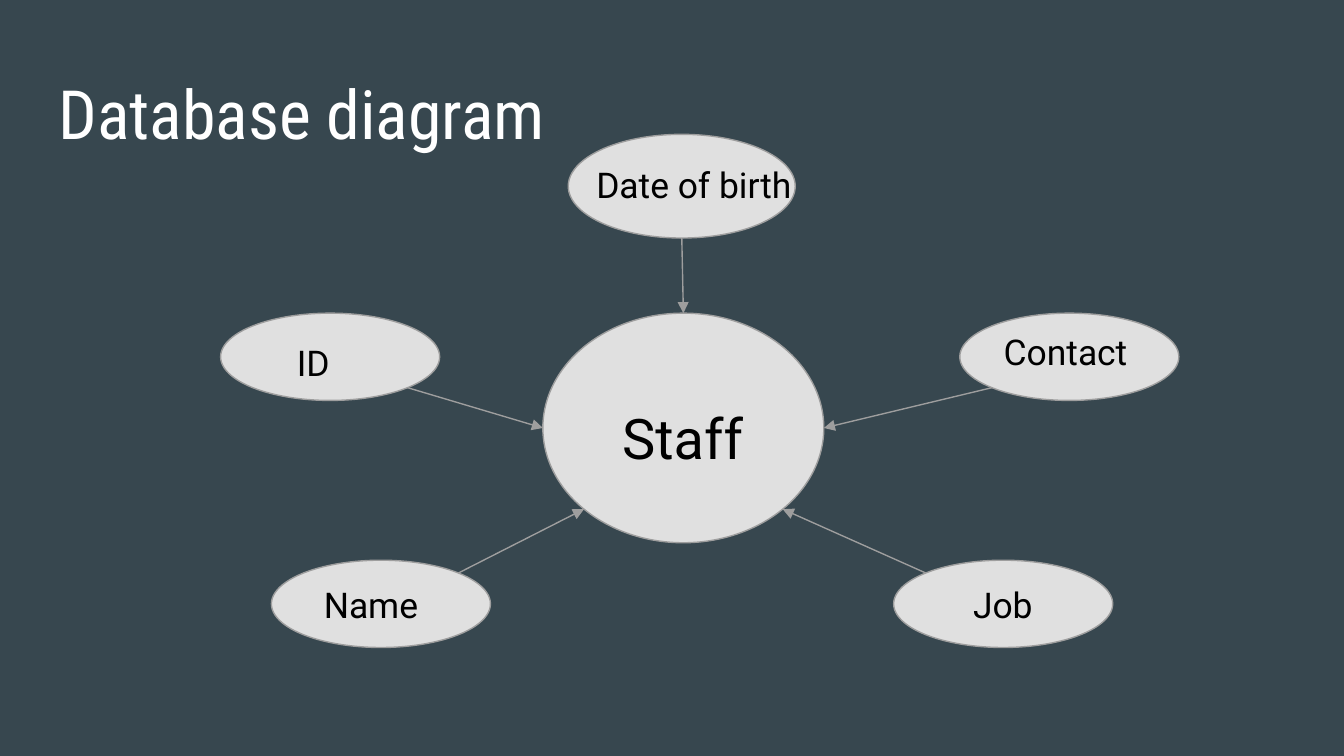
from dataclasses import dataclass
from math import hypot

from lxml import etree
from pptx import Presentation
from pptx.dml.color import RGBColor
from pptx.enum.shapes import MSO_CONNECTOR, MSO_SHAPE
from pptx.enum.text import MSO_ANCHOR, MSO_AUTO_SIZE, PP_ALIGN
from pptx.oxml.ns import qn
from pptx.util import Cm, Pt

LINE = MSO_CONNECTOR.STRAIGHT
OVAL = MSO_SHAPE.OVAL
NODE = MSO_SHAPE.FLOWCHART_CONNECTOR
LEFT = PP_ALIGN.LEFT
TOP, BOTTOM = MSO_ANCHOR.TOP, MSO_ANCHOR.BOTTOM
FIXED = MSO_AUTO_SIZE.NONE
BACK, PALE, GREY, BLACK, WHITE = "37474F", "E0E0E0", "9E9E9E", "000000", "FFFFFF"
INSET = 0.25


@dataclass
class Box:
    left: float
    top: float
    width: float
    height: float

    def site(self, side: tuple[int, int]) -> tuple[float, float]:
        """Point on the ellipse in the direction of side, in cm."""
        x, y = side
        size = hypot(x, y)
        return (self.left + self.width / 2 * (1 + x / size),
                self.top + self.height / 2 * (1 + y / size))

    def lengths(self) -> list[int]:
        return [Cm(v) for v in (self.left, self.top, self.width, self.height)]


@dataclass
class Field:
    text: str
    oval: Box
    label: Box
    start: tuple[int, int]  # side of the field's oval
    end: tuple[int, int]    # side of the centre oval


def small(left: float, top: float) -> Box:
    return Box(left, top, 4.14, 1.65)


def label(left: float, top: float, width: float) -> Box:
    return Box(left, top, width, 1.32)


HUB = Box(10.26, 5.92, 5.31, 4.34)
HUB_LABEL = Box(11.51, 7.19, 3.48, 1.8)
FIELDS = [
    Field("Date of birth", Box(10.74, 2.54, 4.29, 1.96),
          label(11.02, 2.84, 4.29), (0, 1), (0, -1)),
    Field("Contact", small(18.14, 5.92), label(18.72, 5.99, 3.28), (-1, 1), (1, 0)),
    Field("Job", small(16.89, 10.59), label(18.14, 10.77, 2.08), (-1, -1), (1, 1)),
    Field("ID", small(4.17, 5.92), label(5.36, 6.2, 1.73), (1, 1), (-1, 0)),
    Field("Name", small(5.13, 10.59), label(5.87, 10.77, 2.64), (1, -1), (-1, 1)),
]


def hue(code: str) -> RGBColor:
    return RGBColor.from_string(code)


def write(shape, text: str, font: str, size: float, code: str, anchor=TOP) -> None:
    frame = shape.text_frame
    form = {"word_wrap": True, "auto_size": FIXED, "vertical_anchor": anchor}
    form |= {f"margin_{side}": Cm(INSET) for side in ("left", "top", "right", "bottom")}
    for name, value in form.items():
        setattr(frame, name, value)
    frame.text = text
    para = frame.paragraphs[0]
    para.alignment = LEFT
    for name, value in {"name": font, "size": Pt(size)}.items():
        setattr(para.runs[0].font, name, value)
    para.runs[0].font.color.rgb = hue(code)


def draw_oval(slide, kind, box: Box) -> None:
    shape = slide.shapes.add_shape(kind, *box.lengths())
    shape.shadow.inherit = False
    shape.fill.solid()
    shape.fill.fore_color.rgb = hue(PALE)
    shape.line.color.rgb = hue(GREY)
    shape.line.width = Pt(0.75)


def draw_label(slide, text: str, box: Box, size: float):
    shape = slide.shapes.add_textbox(*box.lengths())
    write(shape, text, "Roboto", size, BLACK)
    return shape


def draw_arrow(slide, field: Field) -> None:
    ends = field.oval.site(field.start) + HUB.site(field.end)
    arrow = slide.shapes.add_connector(LINE, *[Cm(v) for v in ends])
    arrow.line.color.rgb = hue(GREY)
    arrow.line.width = Pt(0.75)
    etree.SubElement(arrow.line._get_or_add_ln(), qn("a:tailEnd"), type="triangle")
    etree.SubElement(arrow._element.spPr, qn("a:effectLst"))


def main() -> None:
    deck = Presentation()
    deck.slide_width, deck.slide_height = Cm(25.4), Cm(14.29)
    slide = deck.slides.add_slide(deck.slide_layouts[5])
    slide.background.fill.solid()
    slide.background.fill.fore_color.rgb = hue(BACK)

    # Title
    title = slide.shapes.title
    place = Box(0.86, 0.69, 10.31, 2.46).lengths()
    for name, value in zip(("left", "top", "width", "height"), place):
        setattr(title, name, value)
    write(title, "Database diagram", "Roboto Condensed", 36.4, WHITE, BOTTOM)

    # Centre
    draw_oval(slide, OVAL, HUB)
    staff = draw_label(slide, "Staff", HUB_LABEL, 30)
    staff.text_frame.paragraphs[0].line_spacing = 1.15

    # Fields and their arrows
    for field in FIELDS:
        draw_oval(slide, NODE, field.oval)
        draw_label(slide, field.text, field.label, 19)
        draw_arrow(slide, field)

    deck.save("out.pptx")


if __name__ == "__main__":
    main()
